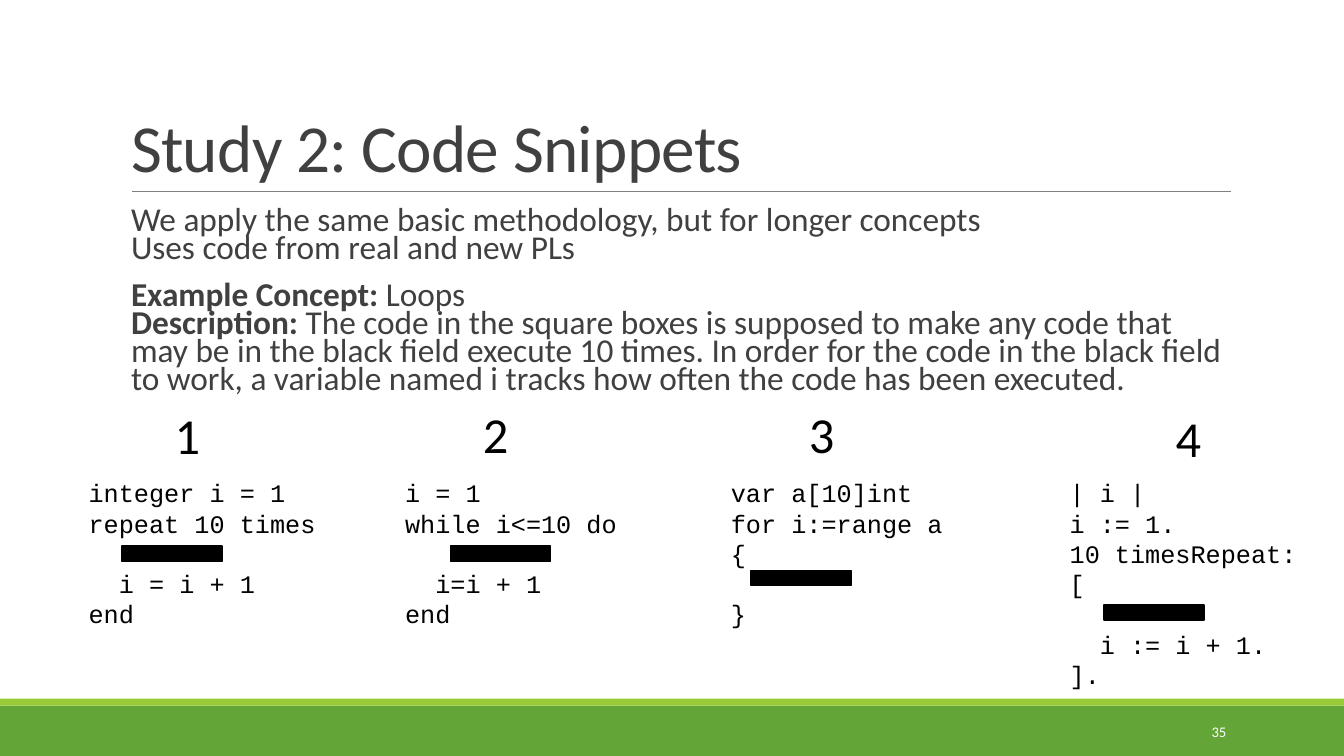
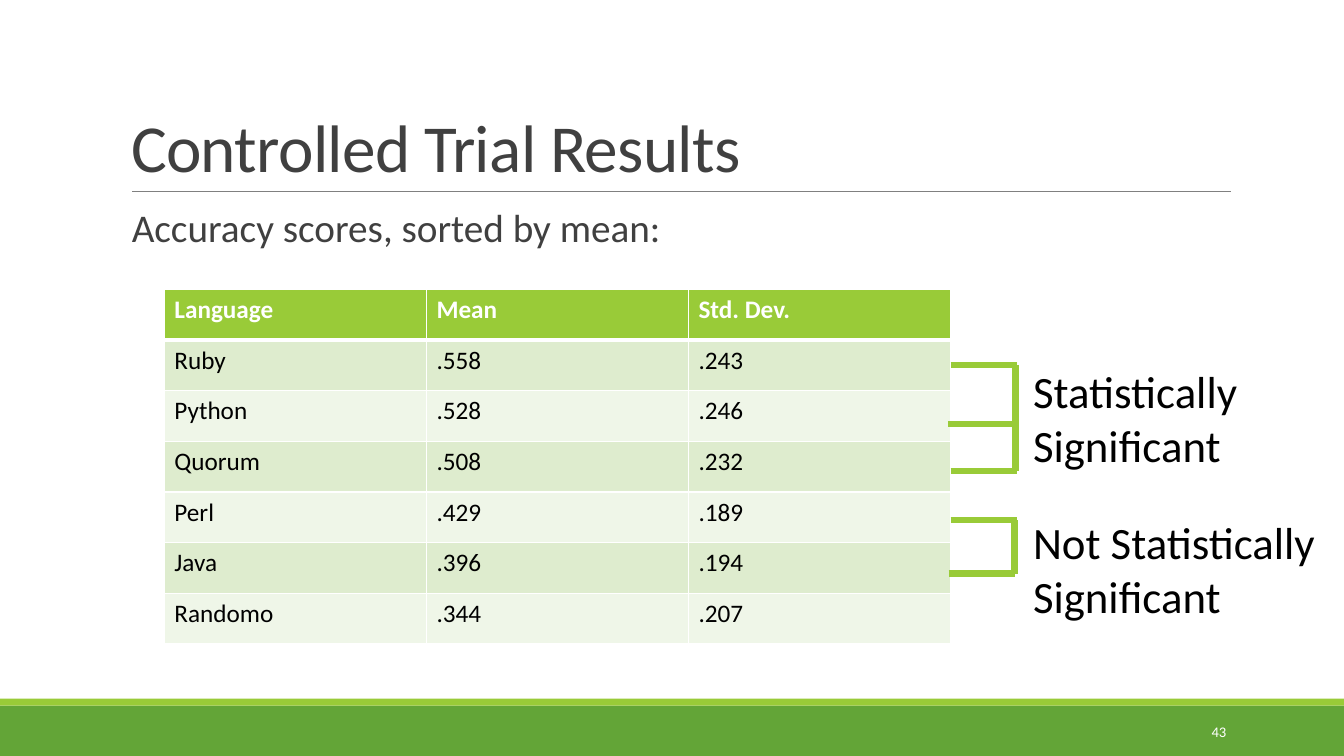
from copy import deepcopy

from lxml.etree import SubElement
from pptx import Presentation
from pptx.dml.color import RGBColor
from pptx.enum.shapes import MSO_CONNECTOR, MSO_SHAPE
from pptx.enum.text import MSO_ANCHOR, MSO_AUTO_SIZE, PP_ALIGN
from pptx.oxml.ns import qn
from pptx.util import Emu, Inches, Pt

W, H = Inches(13.33), Inches(7.5)
GREEN = RGBColor(0x63, 0xA5, 0x37)
LIME = RGBColor(0x99, 0xCB, 0x38)
ROW_DARK = RGBColor(0xDE, 0xEC, 0xCE)
ROW_LIGHT = RGBColor(0xEF, 0xF6, 0xE8)
INK = RGBColor(0x40, 0x40, 0x40)
GRAY = RGBColor(0x80, 0x80, 0x80)
BLACK = RGBColor(0, 0, 0)
WHITE = RGBColor(255, 255, 255)
SANS, MONO = "Calibri", "Courier New"

# Boxes are (left, top, width, height) in percent of the slide
TITLE_BOX = (9, 4.13, 82.5, 21.2)
NUMBER_BOX = (81.25, 94.13, 10.73, 5.33)


def x(share):
    return Emu(round(W * share / 100))


def y(share):
    return Emu(round(H * share / 100))


def place(box):
    left, top, width, height = box
    return x(left), y(top), x(width), y(height)


# Text
def add_text(p, text, size, color=BLACK, font=SANS, bold=False):
    """Add runs to a paragraph, one per line of text."""
    for i, line in enumerate(text.split("\n")):
        if i:
            p.add_line_break()
        if not line:
            continue
        r = p.add_run()
        r.text = line
        r.font.name, r.font.size, r.font.bold = font, Pt(size), bold
        r.font.color.rgb = color
        if i:
            p._p[-2].append(deepcopy(r._r.rPr))


def add_label(shapes, box, paragraphs, size, color=BLACK, font=SANS, wrap=True):
    tf = shapes.add_textbox(*place(box)).text_frame
    tf.word_wrap = wrap
    for i, text in enumerate(paragraphs):
        p = tf.add_paragraph() if i else tf.paragraphs[0]
        add_text(p, text, size, color, font)
    return tf


# Shapes
def add_rect(shapes, box, color, border=None):
    sp = shapes.add_shape(MSO_SHAPE.RECTANGLE, *place(box))
    sp.shadow.inherit = False
    sp.fill.solid()
    sp.fill.fore_color.rgb = color
    if border:
        sp.line.color.rgb, sp.line.width = color, Pt(border)
    else:
        sp.line.fill.background()
    return sp


def add_line(shapes, x1, y1, x2, y2, color, width):
    line = shapes.add_connector(MSO_CONNECTOR.STRAIGHT, x(x1), y(y1), x(x2), y(y2))
    line.line.color.rgb, line.line.width = color, Pt(width)
    SubElement(line.element.spPr, qn("a:effectLst"))
    return line


# Shared look
def add_bands(s):
    """Draw the bands and title rule, then move them to the layout."""
    parts = [
        add_rect(s.shapes, (0, 93.33, 100, 6.67), GREEN),
        add_rect(s.shapes, (0, 92.4, 100, 0.93), LIME),
        add_line(s.shapes, 9.83, 25.33, 91.6, 25.33, GRAY, 0.5),
    ]
    for i, part in enumerate(parts):
        part.element.xpath(".//p:cNvPr")[0].set("id", str(100 + i))
        s.slide_layout.shapes.element.append(part.element)


def add_title(s, text):
    sp = s.shapes.title
    sp.left, sp.top, sp.width, sp.height = place(TITLE_BOX)
    tf = sp.text_frame
    tf.auto_size, tf.vertical_anchor = MSO_AUTO_SIZE.NONE, MSO_ANCHOR.BOTTOM
    p = tf.paragraphs[0]
    p.alignment, p.line_spacing = PP_ALIGN.LEFT, 0.85
    add_text(p, text, 48, INK)
    p.runs[0]._r.rPr.set("spc", "-50")


def add_body(s, height, paragraphs, size, spacing):
    """Fill the body; each paragraph is a list of (text, bold) pairs."""
    sp = s.placeholders[1]
    sp.left, sp.top, sp.width, sp.height = place((9, 26.93, 82.5, height))
    tf = sp.text_frame
    tf.auto_size, tf.vertical_anchor = MSO_AUTO_SIZE.NONE, MSO_ANCHOR.TOP
    tf.margin_left = tf.margin_right = 0
    for i, parts in enumerate(paragraphs):
        p = tf.add_paragraph() if i else tf.paragraphs[0]
        p.line_spacing, p.space_before, p.space_after = spacing, Pt(12), Pt(2)
        pPr = p._p.get_or_add_pPr()
        pPr.set("marL", str(Inches(0.1)))
        pPr.set("indent", str(-Inches(0.1)))
        SubElement(SubElement(pPr, qn("a:buClr")), qn("a:srgbClr"), val=str(LIME))
        SubElement(pPr, qn("a:buChar"), char=" ")
        for text, bold in parts:
            add_text(p, text, size, INK, bold=bold)


def add_page(prs, title, number):
    s = prs.slides.add_slide(prs.slide_layouts[1])
    add_title(s, title)
    tf = add_label(s.shapes, NUMBER_BOX, [number], 10.5, WHITE)
    tf.vertical_anchor = MSO_ANCHOR.MIDDLE
    tf.paragraphs[0].alignment = PP_ALIGN.RIGHT
    return s


# Code snippets
def add_snippet(s, box, number, number_at, code, bar_at):
    """Code with a black field and a number, both offset from the box."""
    left, top = box[:2]
    group = s.shapes.add_group_shape().shapes
    add_label(group, box, code, 18, font=MONO)
    add_rect(group, (left + bar_at[0], top + bar_at[1], 7.43, 2), BLACK, 1.25)
    number_box = (left + number_at[0], top + number_at[1], 3.45, 9.47)
    add_label(s.shapes, number_box, [number], 36, wrap=False)


def snippets_slide(prs):
    s = add_page(prs, "Study 2: Code Snippets", "35")
    add_body(s, 29.07, [
        [("We apply the same basic methodology, but for longer concepts\n"
          "Uses code from real and new PLs", False)],
        [("Example Concept: ", True), ("Loops\n", False), ("Description:", True),
         (" The code in the square boxes is supposed to make any code that may be "
          "in the black field execute 10 times. In order for the code in the black "
          "field to work, a variable named i tracks how often the code has been "
          "executed.", False)],
    ], 23.8, 0.7)
    # Left, width, height, number offset, bar offset, code
    snippets = [
        (5.85, 19.65, 21.6, (6.4, -9.73), (3.22, 9.73),
         ["integer i = 1\nrepeat 10 times", "\n  i = i + 1\nend"]),
        (29.4, 18.4, 21.6, (5.8, -9.87), (4.13, 9.73),
         ["i = 1\nwhile i<=10 do", "\n  i=i + 1\nend"]),
        (53.64, 18.4, 21.6, (5.8, -9.87), (2.25, 12.93),
         ["var a[10]int\nfor i:=range a\n{", "\n}"]),
        (78.85, 21.2, 29.6, (7.88, -9.33), (3.3, 17.47),
         ["| i |\ni := 1.\n10 timesRepeat:\n[", "\n  i := i + 1.\n]."]),
    ]
    for i, (left, width, height, number_at, bar_at, code) in enumerate(snippets, 1):
        add_snippet(s, (left, 62.53, width, height), str(i), number_at, code, bar_at)
    return s


# Results table
def set_borders(cell, header):
    tcPr = cell._tc.get_or_add_tcPr()
    for side in "LRTB":
        width = 3 if header and side == "B" else 1
        ln = SubElement(tcPr, qn("a:ln" + side), w=str(Pt(width)))
        SubElement(SubElement(ln, qn("a:solidFill")), qn("a:srgbClr"), val=str(WHITE))


def add_results(s, box, rows):
    table = s.shapes.add_table(len(rows), len(rows[0]), *place(box)).table
    for i, row in enumerate(rows):
        header = i == 0
        fill = LIME if header else ROW_DARK if i % 2 else ROW_LIGHT
        for j, text in enumerate(row):
            cell = table.cell(i, j)
            set_borders(cell, header)
            cell.fill.solid()
            cell.fill.fore_color.rgb = fill
            color = WHITE if header else BLACK
            add_text(cell.text_frame.paragraphs[0], text, 18, color, bold=header)


def add_bracket(s, left, spine, ticks, label, label_box):
    """Join ticks, given as (height, shift), with a spine and label it."""
    for level, shift in ticks:
        start = left + shift
        add_line(s.shapes, start, level, start + 4.95, level, LIME, 4.5)
    add_line(s.shapes, spine, ticks[0][0], spine, ticks[-1][0], LIME, 4.5)
    add_label(s.shapes, label_box, [label], 32)


def results_slide(prs):
    s = add_page(prs, "Controlled Trial Results", "43")
    add_body(s, 7.47, [[("Accuracy scores, sorted by mean:", False)]], 28, 0.9)
    box = (12.23, 38.27, 58.5, 46.93)
    add_results(s, box, [
        ("Language", "Mean", "Std. Dev."),
        ("Ruby", ".558", ".243"),
        ("Python", ".528", ".246"),
        ("Quorum", ".508", ".232"),
        ("Perl", ".429", ".189"),
        ("Java", ".396", ".194"),
        ("Randomo", ".344", ".207"),
    ])
    right = box[0] + box[2]
    add_bracket(s, right, right + 4.82, [(48.27, 0), (56.13, -0.2), (62.27, 0)],
                "Statistically Significant", (right + 5.4, 47.47, 18.5, 15.73))
    add_bracket(s, right, right + 4.75, [(68.8, 0), (75.87, -0.15)],
                "Not Statistically Significant", (right + 5.4, 67.47, 23.25, 15.73))


def main():
    prs = Presentation()
    prs.slide_width, prs.slide_height = W, H
    add_bands(snippets_slide(prs))
    results_slide(prs)
    prs.save("out.pptx")


if __name__ == "__main__":
    main()
